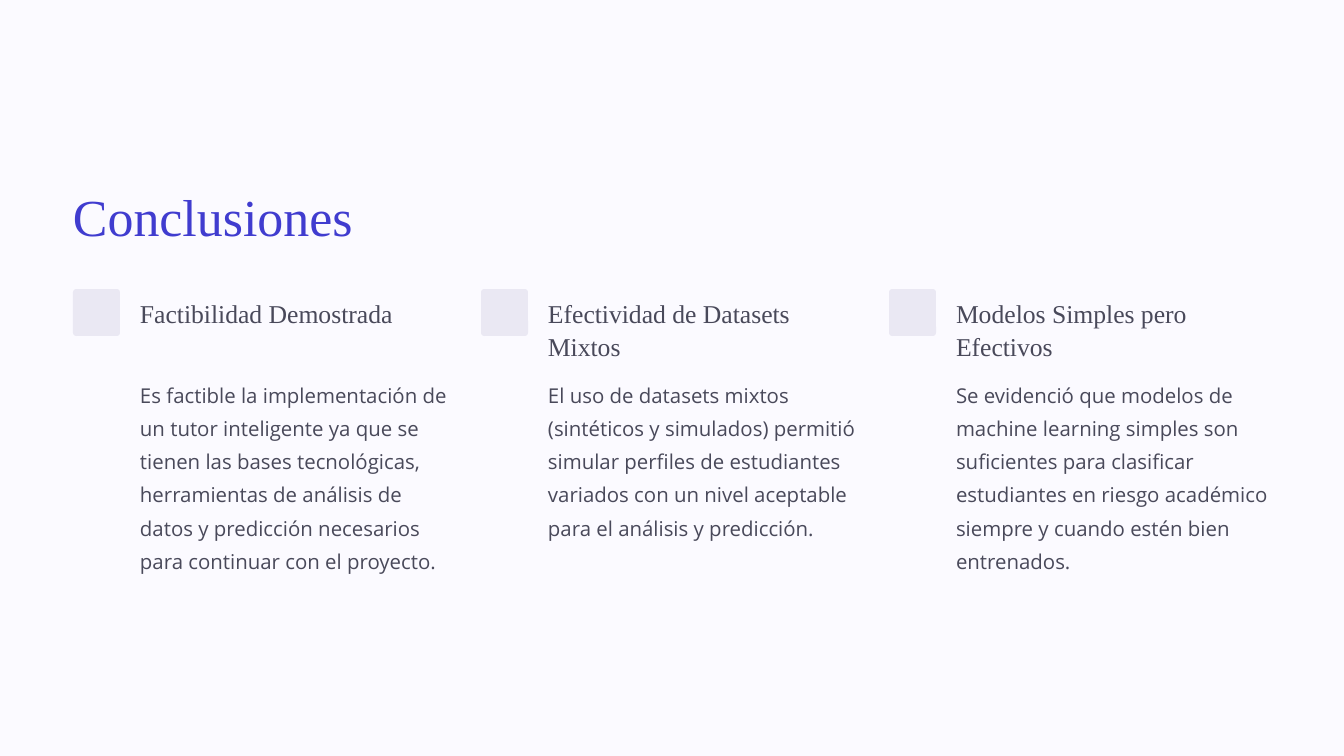
from pptx import Presentation
from pptx.dml.color import RGBColor
from pptx.enum.shapes import MSO_SHAPE as Shape
from pptx.enum.text import MSO_ANCHOR as Anchor, MSO_AUTO_SIZE as AutoSize, PP_ALIGN as Align
from pptx.util import Emu, Pt

PX = 914400 / 84
SERIF = "Times New Roman"
SANS = "Open Sans"
INK = "49495A"
LEFT = 73
COLUMN_STEP = 408
TEXT_INDENT = 67
TEXT_WIDTH = 314

CONCLUSIONS = [
    ("Factibilidad Demostrada",
     "Es factible la implementación de un tutor inteligente ya que se tienen las bases "
     "tecnológicas, herramientas de análisis de datos y predicción necesarios para "
     "continuar con el proyecto."),
    ("Efectividad de Datasets Mixtos",
     "El uso de datasets mixtos (sintéticos y simulados) permitió simular perfiles de "
     "estudiantes variados con un nivel aceptable para el análisis y predicción."),
    ("Modelos Simples pero Efectivos",
     "Se evidenció que modelos de machine learning simples son suficientes para "
     "clasificar estudiantes en riesgo académico siempre y cuando estén bien entrenados."),
]


def px(length):
    return Emu(round(length * PX))


def color(value):
    return RGBColor.from_string(value)


def write(shape, text, font_name, size, line_spacing, text_color, wrap=True):
    frame = shape.text_frame
    frame.text = text
    frame.auto_size = AutoSize.NONE
    frame.word_wrap = wrap
    frame.vertical_anchor = Anchor.TOP
    frame.margin_left = frame.margin_right = frame.margin_top = frame.margin_bottom = 0
    paragraph = frame.paragraphs[0]
    paragraph.alignment = Align.LEFT
    paragraph.line_spacing = Pt(line_spacing)
    font = paragraph.runs[0].font
    font.name = font_name
    font.size = Pt(size)
    font.color.rgb = color(text_color)


def add_title(slide, text):
    title = slide.shapes.title
    title.left, title.top, title.width, title.height = map(px, (LEFT, 182, 521, 66))
    write(title, text, SERIF, 44.5, 55.5, "403CCF", wrap=False)


def add_text(slide, box, text, font_name, size, line_spacing):
    shape = slide.shapes.add_textbox(*map(px, box))
    write(shape, text, font_name, size, line_spacing, INK)


def add_marker(slide, left):
    marker = slide.shapes.add_shape(Shape.ROUNDED_RECTANGLE, *map(px, (left, 289, 47, 47)))
    marker.adjustments[0] = 0.07
    marker.shadow.inherit = False
    marker.fill.solid()
    marker.fill.fore_color.rgb = color("EAE8F3")
    marker.line.fill.background()


def add_conclusion(slide, left, heading, body):
    add_marker(slide, left)
    text_left = left + TEXT_INDENT
    add_text(slide, (text_left, 297, TEXT_WIDTH, 66), heading, SERIF, 22, 27.5)
    add_text(slide, (text_left, 374, TEXT_WIDTH, 200), body, SANS, 17.5, 28.5)


def main():
    presentation = Presentation()
    presentation.slide_width = px(1344)
    presentation.slide_height = px(756)
    slide = presentation.slides.add_slide(presentation.slide_layouts[5])
    slide.background.fill.solid()
    slide.background.fill.fore_color.rgb = color("FBFAFF")
    add_title(slide, "Conclusiones")
    for column, (heading, body) in enumerate(CONCLUSIONS):
        add_conclusion(slide, LEFT + column * COLUMN_STEP, heading, body)
    presentation.save("out.pptx")


if __name__ == "__main__":
    main()
